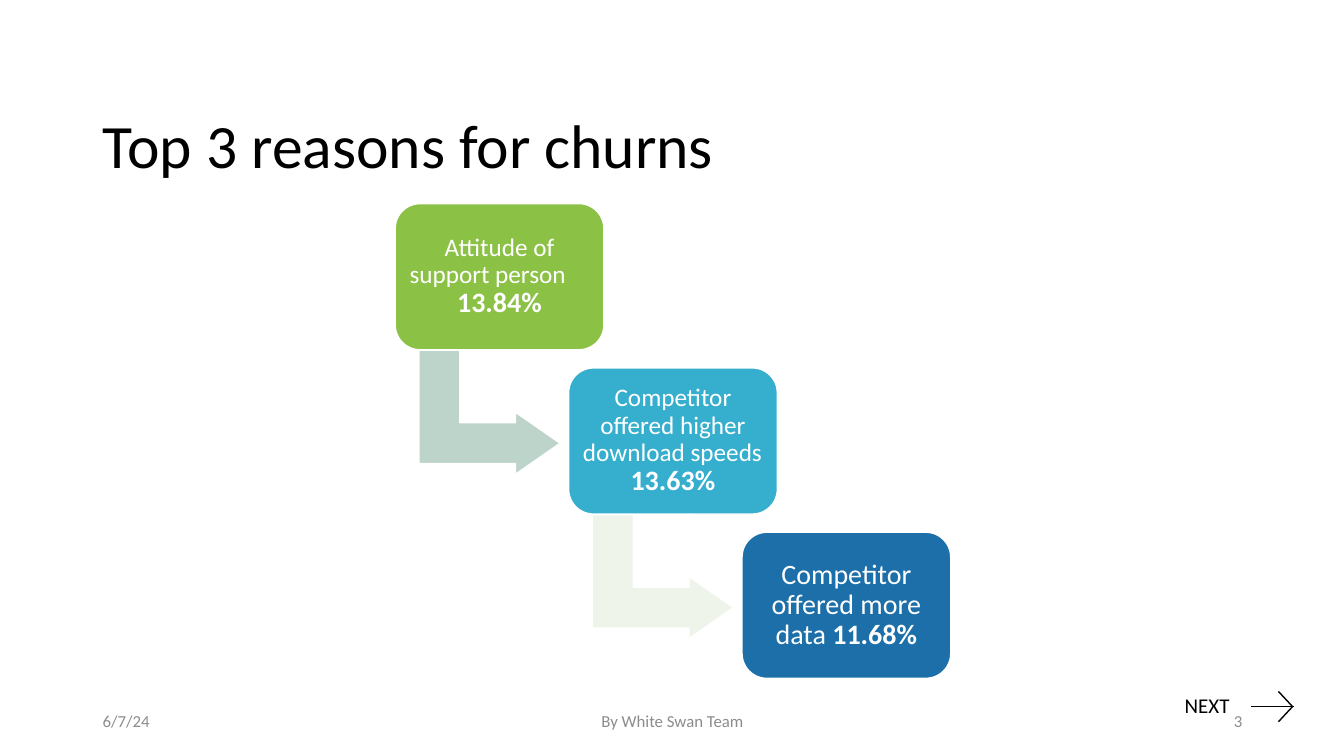
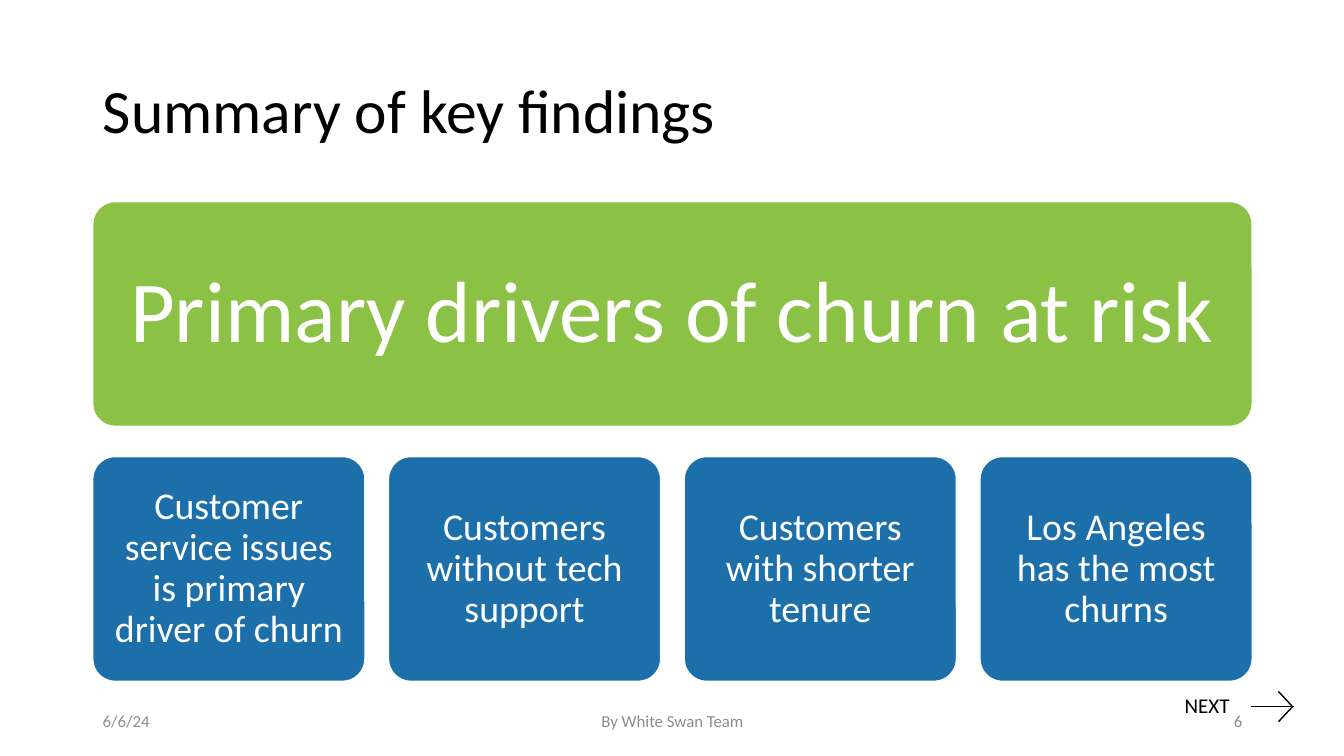
"""Build two churn slides: the top three reasons and the key findings."""
from pptx import Presentation
from pptx.dml.color import RGBColor
from pptx.enum.shapes import MSO_CONNECTOR, MSO_SHAPE
from pptx.enum.text import MSO_ANCHOR, PP_ALIGN
from pptx.oxml.ns import qn
from pptx.util import Inches, Pt
from lxml.etree import SubElement

FONT = "Calibri"
COLORS = {
    "black": "000000", "white": "FFFFFF", "gray": "8C8C8C",
    "green": "8BC145", "teal": "36AFCE", "blue": "1D6FA9",
    "sage": "BDD4CA", "mist": "EEF4E9",
}
TEAM = "By White Swan Team"
REASONS = {
    "title": "Top 3 reasons for churns", "anchor": MSO_ANCHOR.BOTTOM,
    "date": "6/7/24", "number": "3",
}
FINDINGS = {
    "title": "Summary of key findings", "anchor": MSO_ANCHOR.MIDDLE,
    "date": "6/6/24", "number": "6",
}
STEPS = [
    ("Attitude of support person\t", "13.84%", 18, 0.07, "green", "sage"),
    ("Competitor offered higher download speeds\t", "13.63%", 18, 0.07, "teal", "mist"),
    ("Competitor offered more data ", "11.68%", 20, 0.08, "blue", None),
]
HEADLINE = "Primary drivers of churn at risk"
DRIVERS = [
    "Customer service issues is primary driver of churn",
    "Customers without tech support",
    "Customers with shorter tenure",
    "Los Angeles has the most churns",
]
NEXT_ARROW = [
    (12.41, 7.01, 12.83, 7.01),
    (12.68, 6.86, 12.82, 7.01),
    (12.68, 7.16, 12.82, 7.01),
]
LEFT, CONTENT_WIDTH = 0.92, 11.5
STEP_LEFT, STEP_TOP, STEP_WIDTH, STEP_HEIGHT = 3.92, 2.02, 2.07, 1.45
STEP_RIGHT, STEP_DOWN = 1.72, 1.63
ROW_TOP, ROW_HEIGHT, ROW_PITCH, DRIVER_WIDTH = 2, 2.23, 2.53, 2.7


def color(name):
    return RGBColor.from_string(COLORS[name])


def inches(*values):
    return [Inches(value) for value in values]


def style_run(run, size, color_name, bold=False):
    run.font.name = FONT
    run.font.size = Pt(size)
    run.font.bold = bold
    run.font.color.rgb = color(color_name)


def set_insets(text_frame, horizontal, vertical):
    text_frame.margin_left = text_frame.margin_right = Inches(horizontal)
    text_frame.margin_top = text_frame.margin_bottom = Inches(vertical)


def add_label(slide, box, text, size, color_name, align=PP_ALIGN.LEFT, anchor=MSO_ANCHOR.MIDDLE):
    text_frame = slide.shapes.add_textbox(*inches(*box)).text_frame
    text_frame.word_wrap = True
    text_frame.vertical_anchor = anchor
    paragraph = text_frame.paragraphs[0]
    paragraph.text = text
    paragraph.alignment = align
    style_run(paragraph.runs[0], size, color_name)
    return text_frame


def add_figure(slide, kind, box, fill, adjustments):
    shape = slide.shapes.add_shape(kind, *inches(*box))
    shape.shadow.inherit = False
    shape.fill.solid()
    shape.fill.fore_color.rgb = color(fill)
    shape.line.color.rgb = color("white")
    shape.line.width = Pt(1)
    for index, value in enumerate(adjustments):
        shape.adjustments[index] = value
    return shape


def add_card(slide, box, fill, corner, inset, runs):
    shape = add_figure(slide, MSO_SHAPE.ROUNDED_RECTANGLE, box, fill, [corner])
    text_frame = shape.text_frame
    text_frame.word_wrap = True
    text_frame.vertical_anchor = MSO_ANCHOR.MIDDLE
    set_insets(text_frame, inset, inset)
    paragraph = text_frame.paragraphs[0]
    paragraph.alignment = PP_ALIGN.CENTER
    paragraph.line_spacing = 0.9
    for text, size, bold in runs:
        run = paragraph.add_run()
        run.text = text
        style_run(run, size, "white", bold)


def add_next(slide):
    for ends in NEXT_ARROW:
        line = slide.shapes.add_connector(MSO_CONNECTOR.STRAIGHT, *inches(*ends))
        line.line.color.rgb = color("black")
        line.line.width = Pt(1)
        SubElement(line._element.spPr, qn("a:effectLst"))
    text_frame = add_label(slide, (11.71, 6.85, 0.83, 0.33), "NEXT", 15, "black",
                           anchor=MSO_ANCHOR.TOP)
    set_insets(text_frame, 0.04, 0.05)
    text_frame.paragraphs[0].line_spacing = 0.9
    text_frame.paragraphs[0].space_before = Pt(6)


def add_base_slide(presentation, content):
    slide = presentation.slides.add_slide(presentation.slide_layouts[5])
    add_next(slide)
    title = slide.shapes.title
    title.left, title.top, title.width, title.height = inches(LEFT, 0.4, CONTENT_WIDTH, 1.45)
    title.text_frame.text = content["title"]
    title.text_frame.vertical_anchor = content["anchor"]
    paragraph = title.text_frame.paragraphs[0]
    paragraph.alignment = PP_ALIGN.LEFT
    paragraph.line_spacing = 0.9
    style_run(paragraph.runs[0], 44, "black")
    footers = [
        (LEFT, 3, content["date"], PP_ALIGN.LEFT),
        (4.42, 4.5, TEAM, PP_ALIGN.CENTER),
        (9.42, 3, content["number"], PP_ALIGN.RIGHT),
    ]
    for left, width, text, align in footers:
        add_label(slide, (left, 6.95, width, 0.4), text, 12, "gray", align)
    return slide


def add_reasons(presentation):
    slide = add_base_slide(presentation, REASONS)
    for index, (reason, share, size, inset, fill, arrow_fill) in enumerate(STEPS):
        left = STEP_LEFT + index * STEP_RIGHT
        top = STEP_TOP + index * STEP_DOWN
        if arrow_fill:
            arrow = add_figure(slide, MSO_SHAPE.BENT_UP_ARROW,
                               (left + 0.32, top + 1.37, 1.23, 1.4),
                               arrow_fill, [0.33, 0.25, 0.36])
            arrow.rotation = 90
        add_card(slide, (left, top, STEP_WIDTH, STEP_HEIGHT), fill, 0.17, inset,
                 [(reason, size, False), (share, 20, True)])


def add_findings(presentation):
    slide = add_base_slide(presentation, FINDINGS)
    add_card(slide, (LEFT, ROW_TOP, CONTENT_WIDTH, ROW_HEIGHT), "green", 0.1, 0.26,
             [(HEADLINE, 62, False)])
    pitch = (CONTENT_WIDTH - DRIVER_WIDTH) / (len(DRIVERS) - 1)
    for index, driver in enumerate(DRIVERS):
        box = (LEFT + index * pitch, ROW_TOP + ROW_PITCH, DRIVER_WIDTH, ROW_HEIGHT)
        add_card(slide, box, "blue", 0.1, 0.11, [(driver, 27, False)])


def main():
    presentation = Presentation()
    presentation.slide_width, presentation.slide_height = inches(13.33, 7.5)
    add_reasons(presentation)
    add_findings(presentation)
    presentation.save("out.pptx")


if __name__ == "__main__":
    main()
